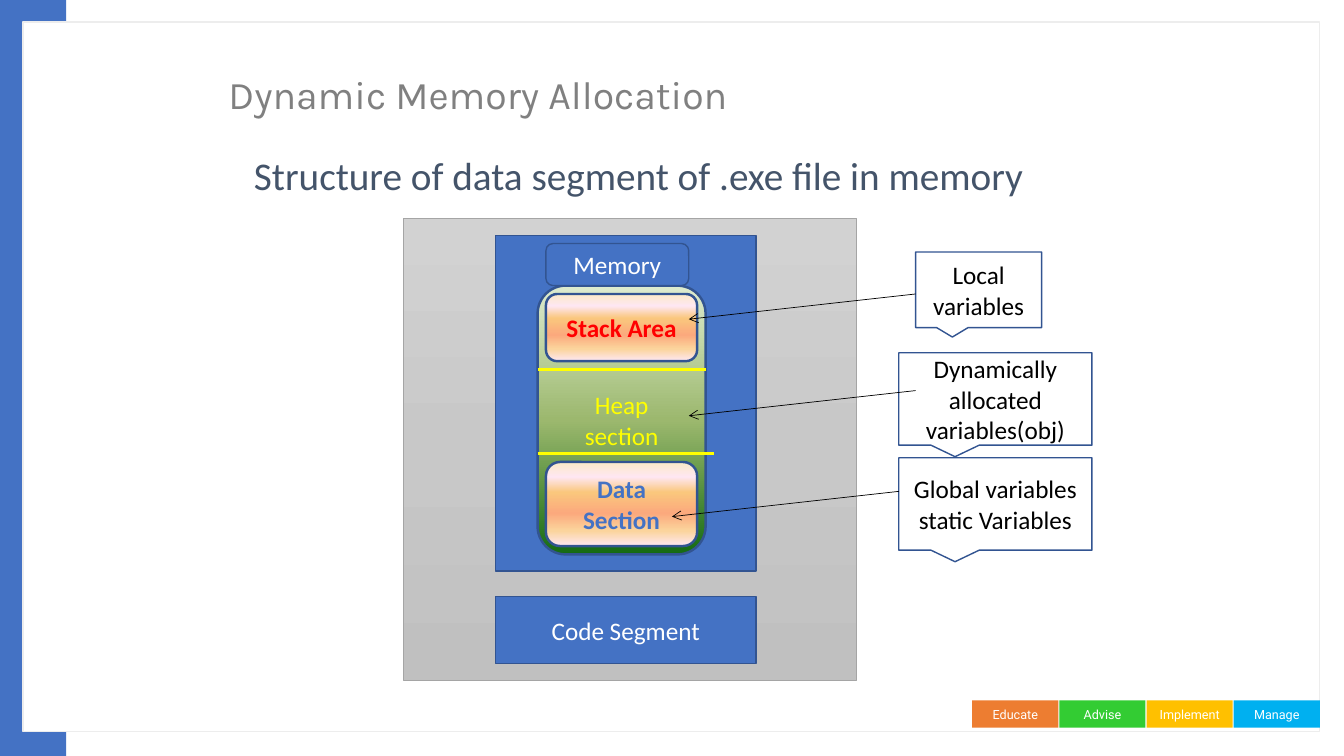
from lxml.etree import SubElement
from pptx import Presentation
from pptx.dml.color import RGBColor
from pptx.enum.shapes import MSO_CONNECTOR, MSO_SHAPE
from pptx.enum.text import MSO_ANCHOR, MSO_AUTO_SIZE, PP_ALIGN
from pptx.oxml.ns import qn
from pptx.util import Emu, Pt

PX = 9525  # EMU per px, 96 px to the inch

BLUE = RGBColor(0x44, 0x72, 0xC4)
NAVY = RGBColor(0x32, 0x54, 0x91)
SLATE = RGBColor(0x44, 0x54, 0x6A)
WHITE = RGBColor(0xFF, 0xFF, 0xFF)
BLACK = RGBColor(0x00, 0x00, 0x00)
GRAY = RGBColor(0x80, 0x80, 0x80)
SILVER = RGBColor(0xA5, 0xA5, 0xA5)
PALE = RGBColor(0xED, 0xED, 0xED)
RED = RGBColor(0xFF, 0x00, 0x00)
YELLOW = RGBColor(0xFF, 0xFF, 0x00)
ORANGE = RGBColor(0xED, 0x7D, 0x31)
GREEN = RGBColor(0x33, 0xCC, 0x33)
GOLD = RGBColor(0xFF, 0xC0, 0x00)
SKY = RGBColor(0x00, 0xB0, 0xF0)

# Gradient stops: percent and colour
STEEL = [(0, "D2D2D2"), (50, "C8C8C8"), (100, "C0C0C0")]
LEAF = [(0, "DDEBCF"), (50, "9CB86E"), (100, "156B13")]
PEACH = [(0, "FBEAC7"), (18, "FEE7F2"), (36, "FAC77D"),
         (61, "FBA97D"), (82, "FBD49C"), (100, "FEE7F2")]

RECT = MSO_SHAPE.RECTANGLE
ROUND = MSO_SHAPE.ROUNDED_RECTANGLE
CALL = MSO_SHAPE.RECTANGULAR_CALLOUT
EDGE = (NAVY, 1)
THICK = (NAVY, 1.75)


class Board:
    """Holds the style and the current slide."""

    base = {"name": "Calibri", "size": Pt(18), "bold": False}

    def __init__(self, slide):
        self.slide = slide
        self.shapes = slide.shapes

    def letter(self, frame, text, color, align=PP_ALIGN.CENTER,
               anchor=MSO_ANCHOR.MIDDLE, space=1.0, **style):
        frame.text = text
        for key, val in {"word_wrap": True, "vertical_anchor": anchor,
                         "auto_size": MSO_AUTO_SIZE.NONE}.items():
            setattr(frame, key, val)
        para = frame.paragraphs[0]
        para.alignment, para.line_spacing = align, space
        font = para.runs[0].font
        for key, val in {**self.base, **style}.items():
            setattr(font, key, val)
        font.color.rgb = color

    def title(self, box, text, color, **style):
        item = self.shapes.title
        for key, val in zip(("left", "top", "width", "height"), box):
            setattr(item, key, Emu(val * PX))
        self.letter(item.text_frame, text, color, PP_ALIGN.LEFT,
                    space=0.9, **style)
        # Bring the title in front of the backdrop
        self.shapes._spTree.append(item._element)

    def label(self, box, text, color, **style):
        item = self.shapes.add_textbox(*(Emu(v * PX) for v in box))
        self.letter(item.text_frame, text, color, anchor=MSO_ANCHOR.TOP,
                    space=0.9, **style)

    def shape(self, kind, box, fill=None, line=None, text="", color=WHITE,
              **style):
        item = self.shapes.add_shape(kind, *(Emu(v * PX) for v in box))
        item.shadow.inherit = False
        if fill is None:
            item.fill.background()
        elif isinstance(fill, list):
            self.blend(item, fill)
        else:
            item.fill.solid()
            item.fill.fore_color.rgb = fill
        if line:
            item.line.color.rgb, item.line.width = line[0], Pt(line[1])
        else:
            item.line.fill.background()
        if text:
            self.letter(item.text_frame, text, color, **style)

    def blend(self, item, stops):
        item.fill.gradient()
        item.fill.gradient_angle = 270
        group = item._element.spPr.find(qn("a:gradFill")).find(qn("a:gsLst"))
        for old in list(group):
            group.remove(old)
        for pos, tone in stops:
            stop = SubElement(group, qn("a:gs"), pos=str(pos * 1000))
            SubElement(stop, qn("a:srgbClr"), val=tone)

    def line(self, start, end, color, width, arrow=False):
        item = self.shapes.add_connector(
            MSO_CONNECTOR.STRAIGHT, *(Emu(v * PX) for v in start + end))
        item.line.color.rgb, item.line.width = color, Pt(width)
        props = item._element.spPr
        if arrow:
            SubElement(props.find(qn("a:ln")), qn("a:tailEnd"), type="arrow")
        SubElement(props, qn("a:effectLst"))


def main():
    deck = Presentation()
    deck.slide_width, deck.slide_height = Emu(1280 * PX), Emu(720 * PX)
    board = Board(deck.slides.add_slide(deck.slide_layouts[5]))

    # Backdrop and footer tags
    board.shape(RECT, (0, 0, 63, 720), BLUE)
    board.shape(RECT, (22, 21, 1235, 676), WHITE, (PALE, 1))
    tags = [("Educate", ORANGE), ("Advise", GREEN),
            ("Implement", GOLD), ("Manage", SKY)]
    for i, (word, tone) in enumerate(tags):
        board.shape(RECT, (926 + 83 * i, 667, 82, 26), tone, text=word,
                    name="Roboto", size=Pt(9))

    # Headings
    board.title((208, 32, 864, 120), "Dynamic Memory Allocation", GRAY,
                name="Karla", size=Pt(28))
    board.label((224, 144, 768, 53),
                "Structure of data segment of .exe file in memory", SLATE,
                size=Pt(28))

    # Program frame and its segments
    board.shape(RECT, (384, 208, 432, 440), STEEL, (SILVER, 0.5))
    board.shape(RECT, (472, 224, 248, 320), BLUE, EDGE)
    board.shape(RECT, (472, 568, 248, 64), BLUE, EDGE, "Code Segment")

    # Memory areas
    board.shape(ROUND, (512, 272, 160, 256), LEAF, THICK, "Heap section",
                YELLOW)
    board.shape(ROUND, (520, 280, 144, 64), PEACH, THICK, "Stack Area", RED,
                bold=True)
    board.shape(ROUND, (520, 440, 144, 80), PEACH, THICK, "Data Section",
                BLUE, bold=True)
    for y, right in ((352, 672), (432, 680)):
        board.line((512, y), (right, y), YELLOW, 2)
    board.shape(ROUND, (520, 232, 136, 40), BLUE, EDGE, "Memory")

    # Callouts, each with an arrow to its area
    notes = [((872, 240, 120, 72), "Local variables", (872, 280)),
             ((856, 336, 184, 88), "Dynamically allocated variables(obj)",
              (872, 372)),
             ((856, 436, 184, 88), "Global variables static Variables",
              (856, 468))]
    for box, text, (x, y) in notes:
        board.shape(CALL, box, None, EDGE, text, BLACK)
        board.line((x, y), (x - 216, y + 24), BLACK, 0.5, arrow=True)

    deck.save("out.pptx")


if __name__ == "__main__":
    main()
